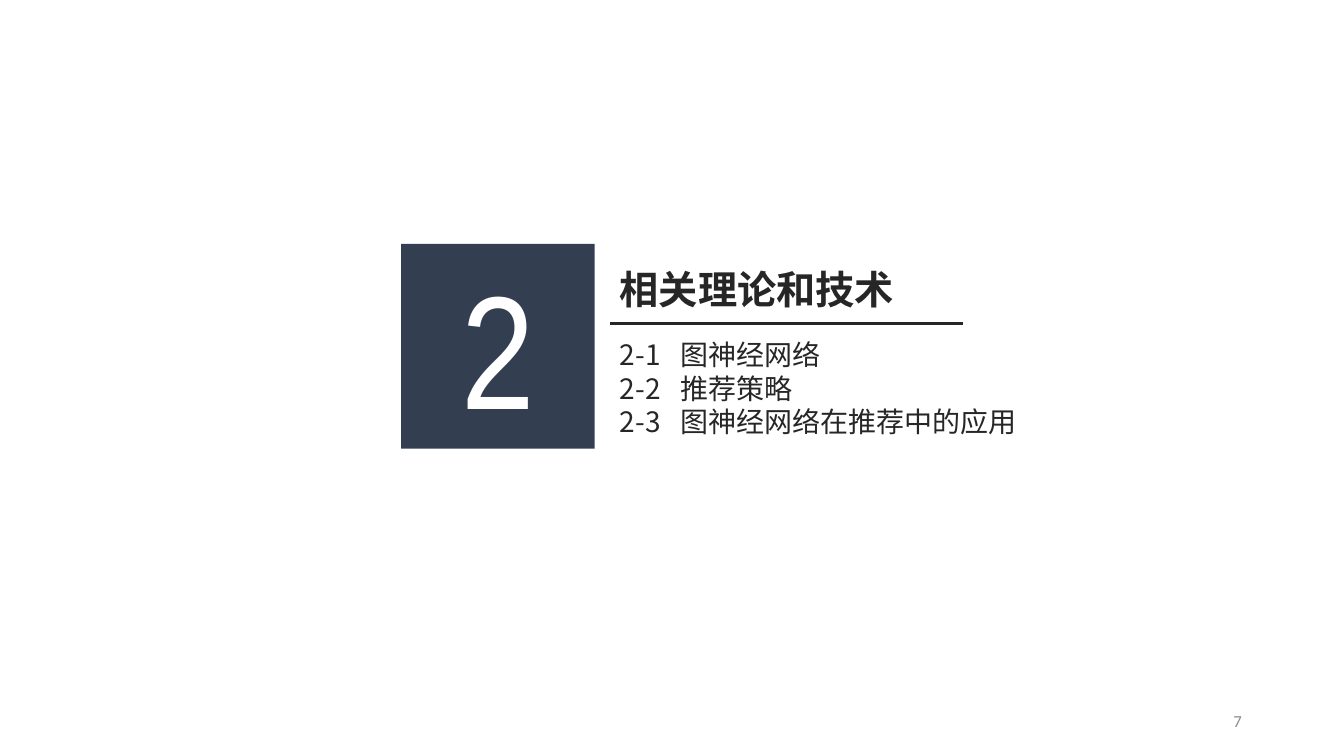
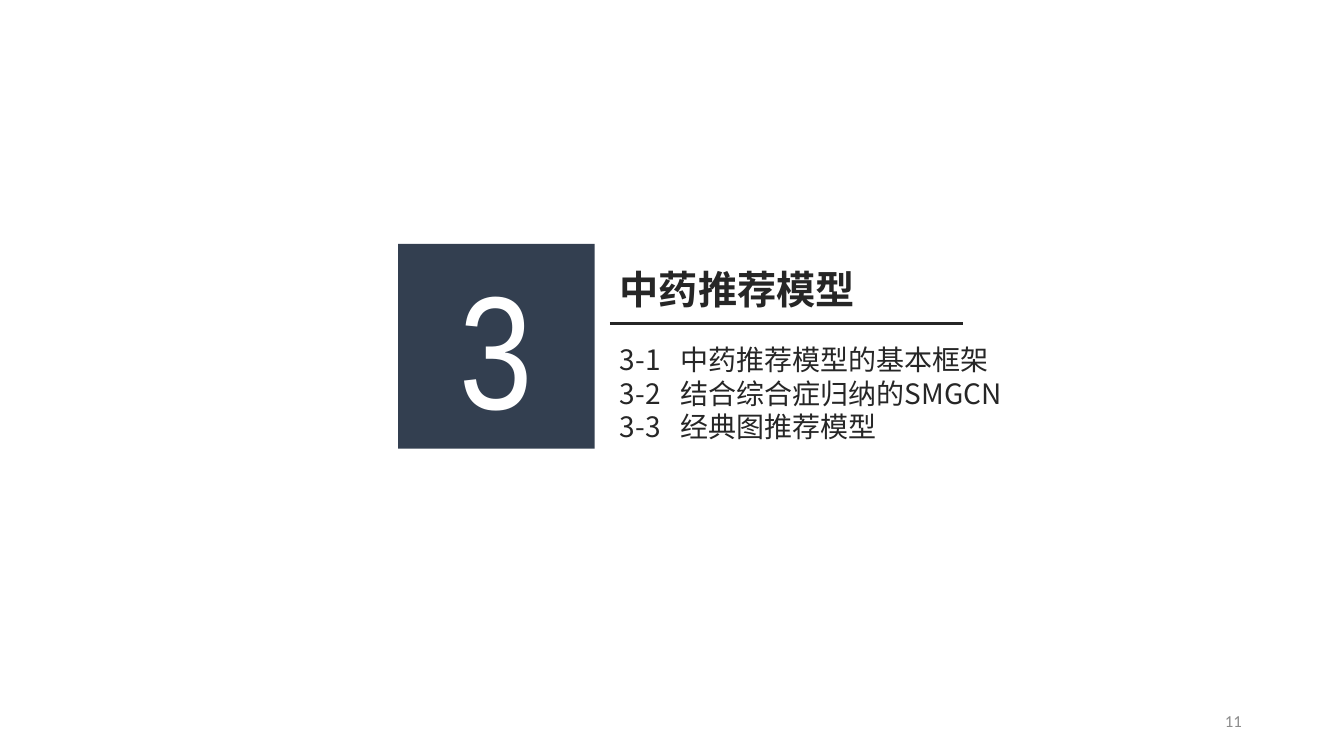
from dataclasses import dataclass

from lxml.etree import SubElement
from pptx import Presentation
from pptx.dml.color import RGBColor
from pptx.enum.shapes import MSO_CONNECTOR as Connector, MSO_SHAPE as Preset
from pptx.enum.text import MSO_ANCHOR as Anchor, PP_ALIGN as Align
from pptx.oxml.ns import qn
from pptx.util import Inches, Pt


@dataclass(frozen=True)
class Theme:
    navy: str = "333F50"
    ink: str = "262626"
    gray: str = "8C8C8C"
    white: str = "FFFFFF"
    number: int = 115
    title: int = 28
    topic: int = 20
    page: int = 12
    rule: int = 2
    heading_font: str = "Noto Sans CJK SC"
    number_font: str = "Arial Narrow"
    page_font: str = "Calibri"


theme = Theme()
presentation = Presentation()
presentation.slide_width = Inches(13.33)
presentation.slide_height = Inches(7.5)
column = presentation.slide_width / 100
row = presentation.slide_height / 100

STYLES = {
    "number": dict(name=theme.number_font, size=Pt(theme.number), color=theme.white),
    "title": dict(name=theme.heading_font, size=Pt(theme.title), color=theme.ink, bold=True),
    "topic": dict(name=theme.heading_font, size=Pt(theme.topic), color=theme.ink),
    "page": dict(name=theme.page_font, size=Pt(theme.page), color=theme.gray),
}
TEXT_LEFT, TEXT_RIGHT = 45.38, 71.63
BADGE_TOP, BADGE_RIGHT, BADGE_HEIGHT = 32.27, 44.25, 27.07
RULE_TOP = 42.8
TOPIC_TAB = Inches(0.6)


def grid(left, top, width, height):
    return [round(length) for length in (left * column, top * row, width * column, height * row)]


def write(shape, lines, style, align=Align.LEFT, anchor=Anchor.TOP):
    frame = shape.text_frame
    frame.word_wrap = True
    frame.vertical_anchor = anchor
    for index, line in enumerate(lines):
        paragraph = frame.add_paragraph() if index else frame.paragraphs[0]
        paragraph.alignment = align
        if "\t" in line:
            tabs = SubElement(paragraph._p.get_or_add_pPr(), qn("a:tabLst"))
            SubElement(tabs, qn("a:tab"), pos=str(TOPIC_TAB), algn="l")
        run = paragraph.add_run()
        run.text = line
        for attribute, value in STYLES[style].items():
            if attribute == "color":
                run.font.color.rgb = RGBColor.from_string(value)
            else:
                setattr(run.font, attribute, value)
        SubElement(run._r.get_or_add_rPr(), qn("a:ea"), typeface=STYLES[style]["name"])


sections = [
    dict(number=2, title="相关理论和技术", page=7, badge_left=29.85, topics_top=44,
         topics=["图神经网络", "推荐策略", "图神经网络在推荐中的应用"]),
    dict(number=3, title="中药推荐模型", page=11, badge_left=29.63, topics_top=44.67,
         topics=["中药推荐模型的基本框架", "结合综合症归纳的SMGCN", "经典图推荐模型"]),
]

for section in sections:
    slide = presentation.slides.add_slide(presentation.slide_layouts[6])
    shapes = slide.shapes
    number = section["number"]

    badge_left = section["badge_left"]
    badge = shapes.add_shape(
        Preset.RECTANGLE, *grid(badge_left, BADGE_TOP, BADGE_RIGHT - badge_left, BADGE_HEIGHT))
    badge.shadow.inherit = False
    badge.fill.solid()
    badge.fill.fore_color.rgb = RGBColor.from_string(theme.navy)
    badge.line.fill.background()
    write(badge, [str(number)], "number", Align.CENTER)

    title = shapes.add_textbox(*grid(TEXT_LEFT, 34.4, TEXT_RIGHT - TEXT_LEFT, 7.6))
    write(title, [section["title"]], "title")

    left, top, width, _ = grid(TEXT_LEFT, RULE_TOP, TEXT_RIGHT - TEXT_LEFT, 0)
    rule = shapes.add_connector(Connector.STRAIGHT, left, top, left + width, top)
    rule.line.color.rgb = RGBColor.from_string(theme.ink)
    rule.line.width = Pt(theme.rule)
    SubElement(rule._element.spPr, qn("a:effectLst"))

    topics = shapes.add_textbox(*grid(TEXT_LEFT, section["topics_top"], 34.65, 14.8))
    write(topics, [f"{number}-{index}\t{topic}"
                   for index, topic in enumerate(section["topics"], 1)], "topic")

    page = shapes.add_textbox(*grid(70.65, 92.67, 22.5, 5.33))
    write(page, [str(section["page"])], "page", Align.RIGHT, Anchor.MIDDLE)

presentation.save("out.pptx")
